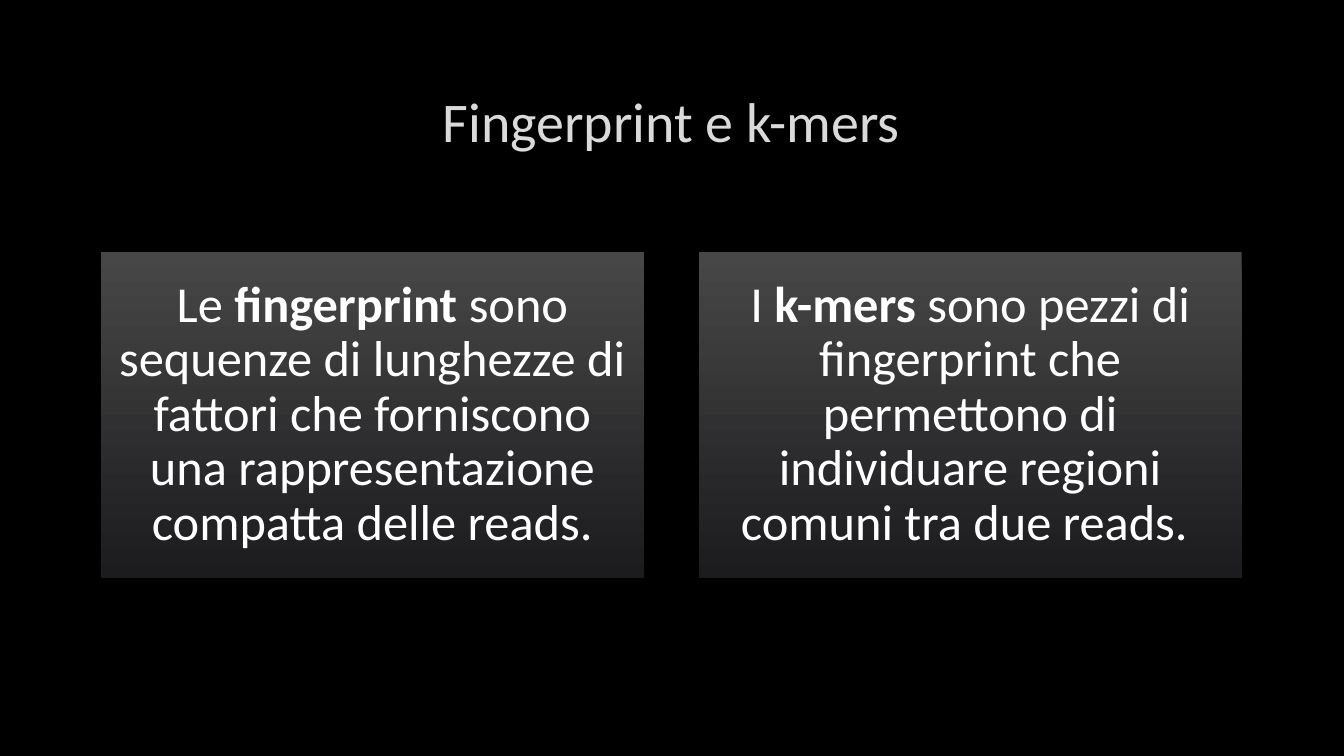
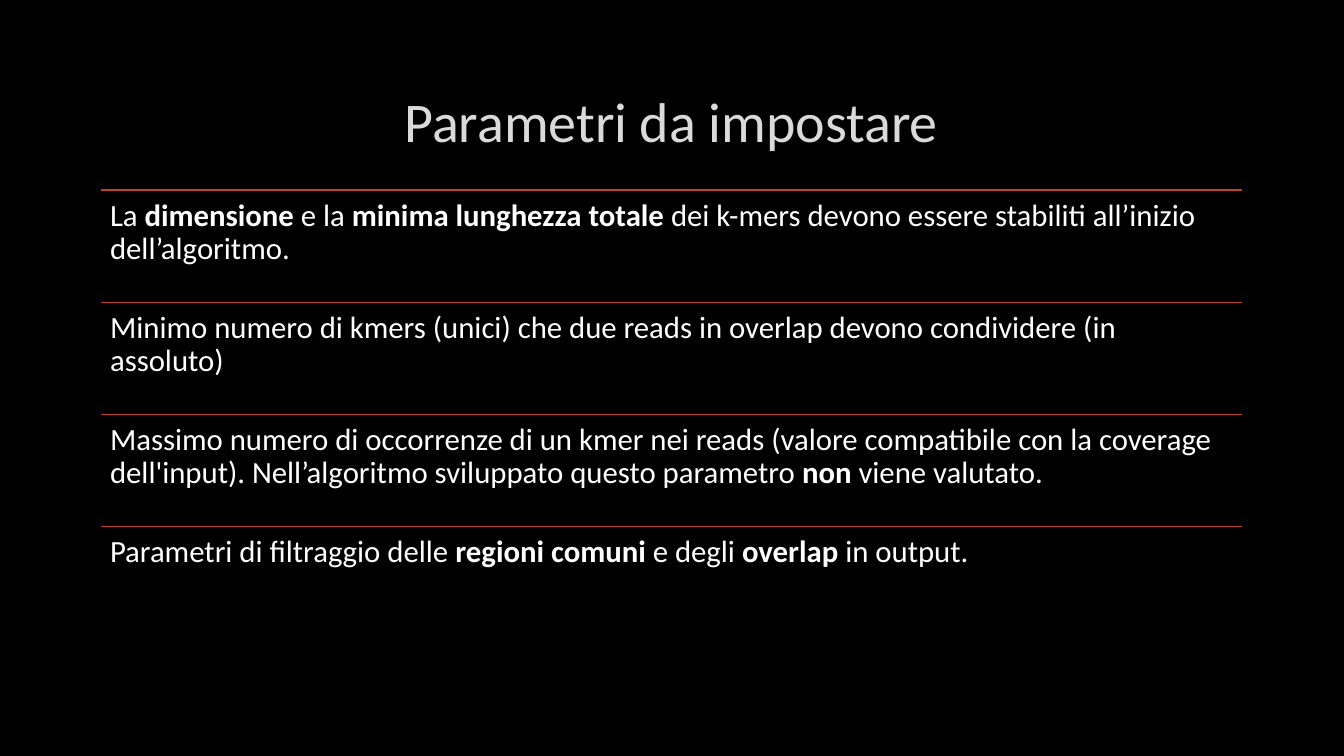
from typing import NamedTuple

from lxml import etree
from pptx import Presentation
from pptx.dml.color import RGBColor
from pptx.enum import shapes, text
from pptx.oxml import ns
from pptx.util import Pt

COLOURS = {
    "background": "000000",
    "title": "DADADA",
    "text": "FFFFFF",
    "rule": "BC451B",
    "card_top": "474748",
    "card_bottom": "1C1C1E",
}
FONT = "Calibri"
TITLE_ONLY = 5
LEFT, WIDTH = 72, 815
TITLE_TOP, TITLE_HEIGHT = 48, 76.3
CARD_TOP, CARD_WIDTH, CARD_HEIGHT = 180, 388, 232.8
ROW_TOP, ROW_HEIGHT = 136, 80


class Span(NamedTuple):
    text: str
    bold: bool = False


class TextStyle(NamedTuple):
    size: float
    margin: float
    alignment: text.PP_ALIGN
    anchor: text.MSO_ANCHOR


CARD_STYLE = TextStyle(36, 10.8, text.PP_ALIGN.CENTER, text.MSO_ANCHOR.MIDDLE)
ROW_STYLE = TextStyle(22, 6.6, text.PP_ALIGN.LEFT, text.MSO_ANCHOR.TOP)

CARDS = [
    [
        Span("Le "),
        Span("fingerprint", True),
        Span(" sono sequenze di lunghezze di fattori che forniscono "
             "una rappresentazione compatta delle reads."),
    ],
    [
        Span("I "),
        Span("k-mers", True),
        Span(" sono pezzi di fingerprint che permettono di individuare "
             "regioni comuni tra due reads. "),
    ],
]

PARAMETERS = [
    [
        Span("La "),
        Span("dimensione", True),
        Span(" e la "),
        Span("minima lunghezza totale ", True),
        Span("dei k-mers devono essere stabiliti all’inizio dell’algoritmo."),
    ],
    [
        Span("Minimo numero di kmers (unici) che due reads in overlap "
             "devono condividere (in assoluto)"),
    ],
    [
        Span("Massimo numero di occorrenze di un kmer nei reads (valore "
             "compatibile con la coverage dell'input). Nell’algoritmo "
             "sviluppato questo parametro "),
        Span("non", True),
        Span(" viene valutato."),
    ],
    [
        Span("Parametri di filtraggio delle "),
        Span("regioni comuni ", True),
        Span("e degli "),
        Span("overlap", True),
        Span(" in output."),
    ],
]


def colour(name: str) -> RGBColor:
    return RGBColor.from_string(COLOURS[name])


def format_font(font, size: float, colour_name: str, bold: bool = False) -> None:
    font.name = FONT
    font.size = Pt(size)
    font.bold = bold
    font.color.rgb = colour(colour_name)


def add_titled_slide(presentation, title: str):
    slide = presentation.slides.add_slide(presentation.slide_layouts[TITLE_ONLY])
    shape = slide.shapes.title
    shape.left, shape.top = Pt(LEFT), Pt(TITLE_TOP)
    shape.width, shape.height = Pt(WIDTH), Pt(TITLE_HEIGHT)
    shape.text_frame.text = title
    shape.text_frame.vertical_anchor = text.MSO_ANCHOR.MIDDLE
    paragraph = shape.text_frame.paragraphs[0]
    paragraph.alignment = text.PP_ALIGN.CENTER
    format_font(paragraph.runs[0].font, 40, "title")
    return slide


def write_spans(shape, spans: list[Span], style: TextStyle) -> None:
    frame = shape.text_frame
    frame.word_wrap = True
    frame.vertical_anchor = style.anchor
    frame.margin_left = frame.margin_right = Pt(style.margin)
    frame.margin_top = frame.margin_bottom = Pt(style.margin)
    paragraph = frame.paragraphs[0]
    paragraph.alignment = style.alignment
    paragraph.line_spacing = 0.9
    for span in spans:
        run = paragraph.add_run()
        run.text = span.text
        format_font(run.font, style.size, "text", span.bold)


def add_card(slide, left: float, spans: list[Span]) -> None:
    card = slide.shapes.add_shape(
        shapes.MSO_SHAPE.RECTANGLE,
        Pt(left), Pt(CARD_TOP), Pt(CARD_WIDTH), Pt(CARD_HEIGHT),
    )
    card.shadow.inherit = False
    card.line.fill.background()
    card.fill.gradient()
    card.fill.gradient_angle = 270
    for stop, name in zip(card.fill.gradient_stops, ("card_top", "card_bottom")):
        stop.color.rgb = colour(name)
    write_spans(card, spans, CARD_STYLE)


def add_ruled_row(slide, top: float, spans: list[Span]) -> None:
    rule = slide.shapes.add_connector(
        shapes.MSO_CONNECTOR.STRAIGHT,
        Pt(LEFT), Pt(top), Pt(LEFT + WIDTH), Pt(top),
    )
    rule.line.color.rgb = colour("rule")
    rule.line.width = Pt(1.25)
    etree.SubElement(rule.element.spPr, ns.qn("a:effectLst"))
    box = slide.shapes.add_textbox(Pt(LEFT), Pt(top), Pt(WIDTH), Pt(ROW_HEIGHT))
    write_spans(box, spans, ROW_STYLE)


def main() -> None:
    presentation = Presentation()
    presentation.slide_width, presentation.slide_height = Pt(960), Pt(540)
    background = presentation.slide_master.background.fill
    background.solid()
    background.fore_color.rgb = colour("background")

    slide = add_titled_slide(presentation, "Fingerprint e k-mers")
    card_step = (WIDTH - CARD_WIDTH) / (len(CARDS) - 1)
    for index, spans in enumerate(CARDS):
        add_card(slide, LEFT + index * card_step, spans)

    slide = add_titled_slide(presentation, "Parametri da impostare")
    for index, spans in enumerate(PARAMETERS):
        add_ruled_row(slide, ROW_TOP + index * ROW_HEIGHT, spans)

    presentation.save("out.pptx")


if __name__ == "__main__":
    main()
